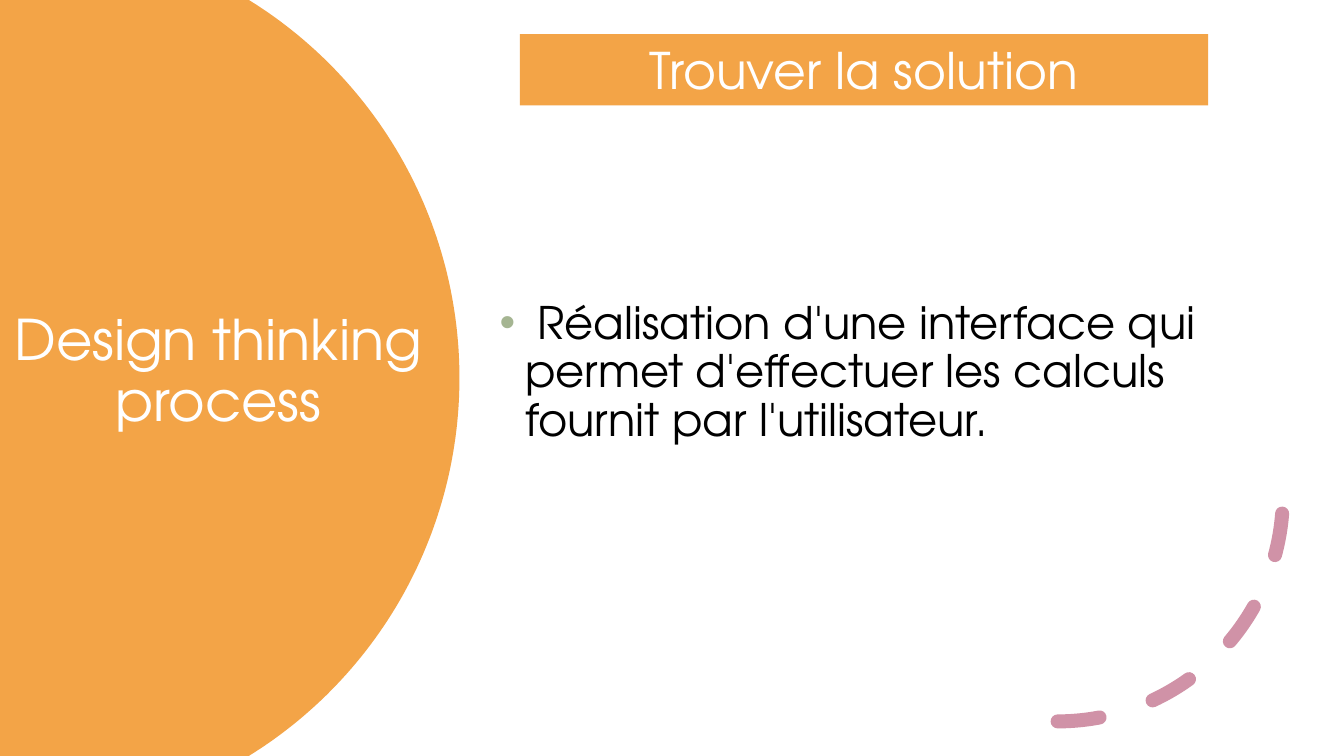
"""Build the design thinking slide about finding the solution."""
import math
from dataclasses import dataclass

from lxml import etree
from pptx import Presentation
from pptx import util as u
from pptx.dml.color import RGBColor
from pptx.enum import dml, shapes, text
from pptx.oxml.ns import qn

WIDTH, HEIGHT = 33.87, 19.05


@dataclass(frozen=True)
class Theme:
    font: str = "TeX Gyre Adventor"
    orange: str = "F3A447"
    rose: str = "D092A7"
    sage: str = "A5B592"
    white: str = "FFFFFF"
    black: str = "000000"
    title_size: int = 40
    banner_size: int = 36
    body_size: int = 32
    dash_width: int = 10


class SlideBuilder:
    def __init__(self, slide, theme):
        self.slide = slide
        self.theme = theme

    def place(self, shape, left, top, width, height):
        shape.left, shape.top = u.Cm(left), u.Cm(top)
        shape.width, shape.height = u.Cm(width), u.Cm(height)

    def fill(self, shape, color):
        shape.shadow.inherit = False
        shape.fill.solid()
        shape.fill.fore_color.rgb = RGBColor.from_string(color)
        shape.line.fill.background()

    def format(self, paragraph, size, color, align):
        paragraph.alignment = align
        paragraph.font.name = self.theme.font
        paragraph.font.size = u.Pt(size)
        paragraph.font.color.rgb = RGBColor.from_string(color)

    def prepare(self, shape):
        frame = shape.text_frame
        frame.word_wrap = True
        frame.auto_size = text.MSO_AUTO_SIZE.NONE
        frame.vertical_anchor = text.MSO_ANCHOR.MIDDLE
        return frame.paragraphs[0]

    def disc(self, center_x, radius, steps=120):
        middle = HEIGHT / 2
        limit = math.asin(middle / radius)
        angles = [limit * (2 * step / steps - 1) for step in range(steps + 1)]
        edge = [(u.Cm(center_x + radius * math.cos(angle)),
                 u.Cm(middle + radius * math.sin(angle))) for angle in angles]
        builder = self.slide.shapes.build_freeform(0, 0)
        builder.add_line_segments(edge + [(0, u.Cm(HEIGHT))], close=True)
        self.fill(builder.convert_to_shape(), self.theme.orange)

    def title(self, words, *box):
        shape = self.slide.shapes.title
        self.place(shape, *box)
        paragraph = self.prepare(shape)
        paragraph.text = words
        paragraph.line_spacing = 0.9
        self.format(paragraph, self.theme.title_size, self.theme.white,
                    text.PP_ALIGN.CENTER)

    def bullet(self, words, *box):
        shape = self.slide.placeholders[1]
        self.place(shape, *box)
        paragraph = self.prepare(shape)
        paragraph.line_spacing = 0.9
        paragraph.space_before = u.Pt(10)
        properties = paragraph._p.get_or_add_pPr()
        indent = u.Cm(0.64)
        properties.set("marL", str(indent))
        properties.set("indent", str(-indent))
        color = etree.SubElement(properties, qn("a:buClr"))
        etree.SubElement(color, qn("a:srgbClr"), val=self.theme.sage)
        etree.SubElement(properties, qn("a:buFont"), typeface="Arial")
        etree.SubElement(properties, qn("a:buChar"), char="•")
        lead = paragraph.add_run()
        lead.text = " "
        lead.font.color.rgb = RGBColor.from_string(self.theme.sage)
        paragraph.add_run().text = words
        self.format(paragraph, self.theme.body_size, self.theme.black,
                    text.PP_ALIGN.LEFT)

    def dashed_arc(self, *box):
        arc = self.slide.shapes.add_shape(
            shapes.MSO_SHAPE.ARC, *map(u.Cm, box))
        arc.shadow.inherit = False
        arc.fill.background()
        arc.line.color.rgb = RGBColor.from_string(self.theme.rose)
        arc.line.width = u.Pt(self.theme.dash_width)
        arc.line.dash_style = dml.MSO_LINE.DASH
        properties = arc._element.spPr
        properties.find(qn("a:xfrm")).set("flipV", "1")
        properties.find(qn("a:ln")).set("cap", "rnd")

    def banner(self, words, *box):
        shape = self.slide.shapes.add_shape(
            shapes.MSO_SHAPE.RECTANGLE, *map(u.Cm, box))
        self.fill(shape, self.theme.orange)
        paragraph = self.prepare(shape)
        paragraph.text = words
        self.format(paragraph, self.theme.banner_size, self.theme.white,
                    text.PP_ALIGN.CENTER)


def main():
    presentation = Presentation()
    presentation.slide_width = u.Cm(WIDTH)
    presentation.slide_height = u.Cm(HEIGHT)
    slide = presentation.slides.add_slide(presentation.slide_layouts[1])
    builder = SlideBuilder(slide, Theme())
    builder.disc(0.38, 11.2)
    tree = slide.shapes._spTree
    tree.insert(2, tree[-1])
    builder.title("Design thinking process", 0, 3.2, 11, 12.4)
    builder.bullet("Réalisation d'une interface qui permet d'effectuer "
                   "les calculs fournit par l'utilisateur.",
                   12.34, 1.65, 19.18, 15.52)
    builder.dashed_arc(20.98, 6.83, 11.35, 11.35)
    builder.banner("Trouver la solution", 13.1, 0.86, 17.35, 1.8)
    presentation.save("out.pptx")


if __name__ == "__main__":
    main()
